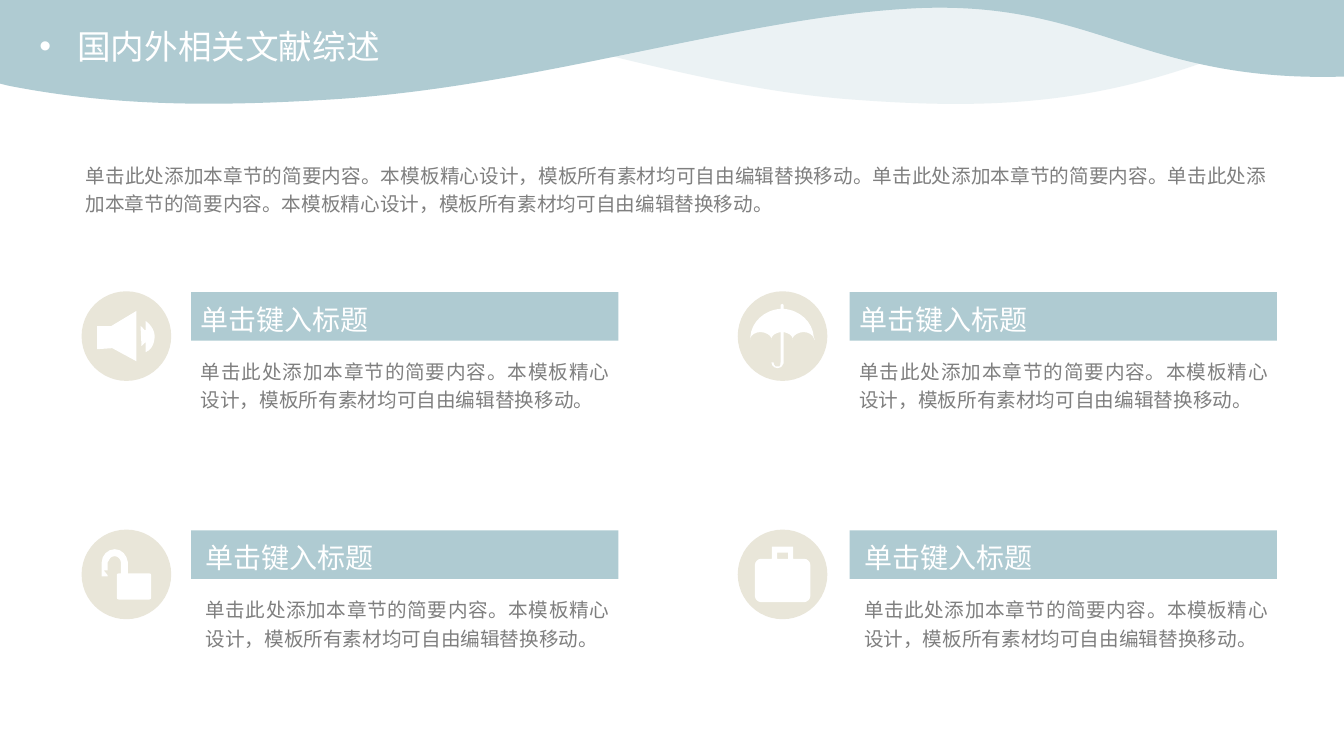
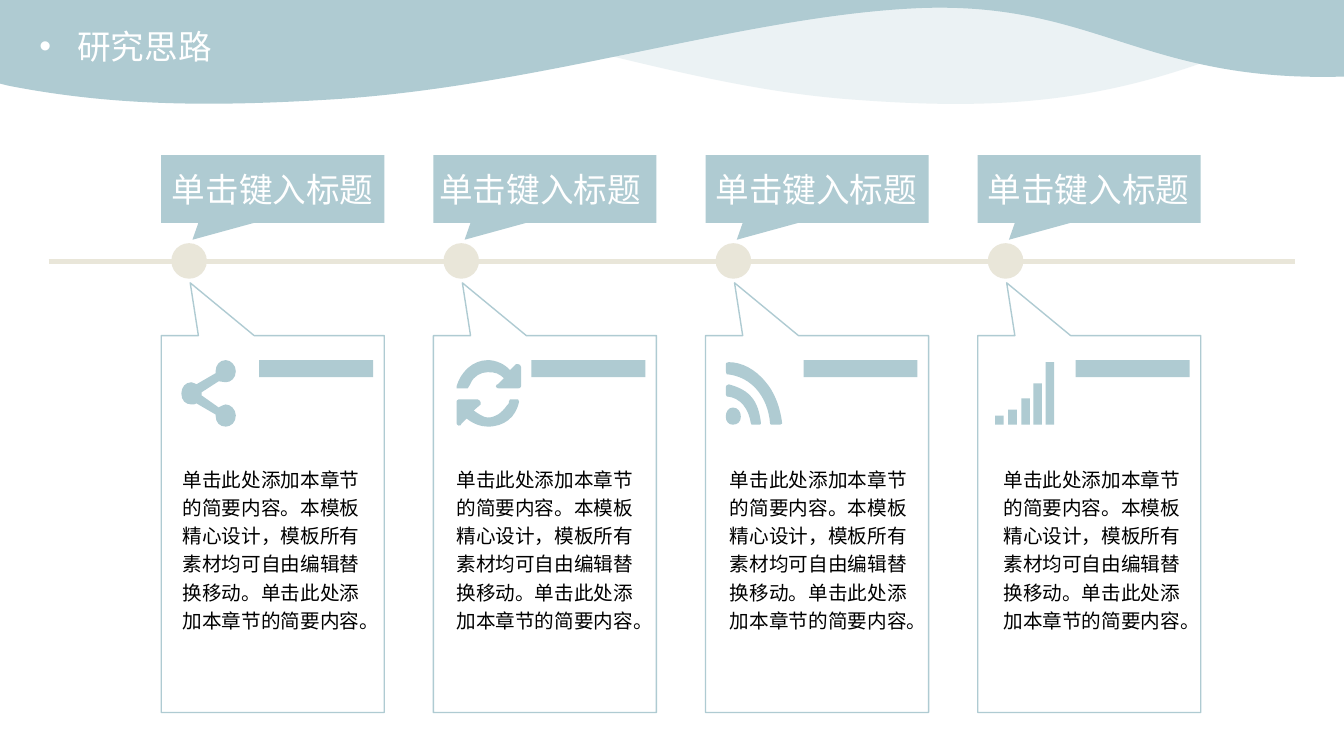
from dataclasses import dataclass

from lxml import etree
from pptx import Presentation
from pptx.dml.color import RGBColor
from pptx.enum.shapes import MSO_CONNECTOR, MSO_SHAPE
from pptx.enum.text import MSO_ANCHOR, PP_ALIGN
from pptx.oxml.ns import qn
from pptx.util import Pt

RECT, OVAL = MSO_SHAPE.RECTANGLE, MSO_SHAPE.OVAL
CALLOUT = MSO_SHAPE.RECTANGULAR_CALLOUT
STRAIGHT = MSO_CONNECTOR.STRAIGHT
LEFT, CENTER, JUSTIFY = PP_ALIGN.LEFT, PP_ALIGN.CENTER, PP_ALIGN.JUSTIFY
MIDDLE = MSO_ANCHOR.MIDDLE


@dataclass(frozen=True)
class Theme:
    font: str = "Noto Sans CJK SC"
    blue: str = "AFCBD2"
    sand: str = "E9E6D9"
    white: str = "FFFFFF"
    gray: str = "7F7F7F"
    black: str = "000000"
    title: int = 24
    heading: int = 20
    body: int = 14
    body_spacing: float = 1.2


T = Theme()
UNIT = 0.72  # points per unit of the outlines below

HEADING = "单击键入标题"
CLICK = "单击此处添加本章节的简要内容。"
DESIGN = "本模板精心设计，模板所有素材均可自由编辑替换移动。"

BACK_WAVE = ("M 1333.4 0 L 0 0 L 0 76 C 169 82 206 2 353 8 C 499 15 673 87 849 99 "
             "C 1025 112 1145 98 1333.4 0 Z")
FRONT_WAVE = ("M 0 0 L 1333.4 0 L 1333.4 76 C 1133 82 1088 2 914 8 "
              "C 740 15 534 87 324 99 C 207 106 110 105 8 85 L 0 83 Z")
SPEAKER = ("M 48 10 C 48 10 56 15 57 24 C 57 24 58 37 48 41 L 48 31 "
           "C 47 32 45 34 44 35 L 43 15 C 43 15 46 17 47 19 L 48 19 Z "
           "M 39 0 L 39 50 L 15 37 L 0 38 L 0 15 L 14 15 Z")
UMBRELLA = ("M 32 0 L 33 1 L 33 5 C 49 6 62 18 63 33 L 64 36 L 63 34 "
            "C 62 31 58 28 53 28 C 48 28 43 31 42 34 L 42 36 L 42 34 "
            "C 41 31 38 29 33 28 L 33 59 C 32 61 31 63 30 63 C 28 64 26 64 24 63 "
            "C 22 62 21 60 21 58 L 23 58 C 23 60 24 61 25 62 C 26 62 27 62 29 62 "
            "C 30 61 30 60 30 58 L 30 28 C 25 29 22 31 21 34 L 21 36 L 21 34 "
            "C 20 31 15 28 10 28 C 5 28 1 31 0 34 L 0 36 L 0 33 "
            "C 1 18 14 6 30 5 L 30 1 Z")
PADLOCK = ("M 13 0 C 20 0 25 6 26 13 L 26 24 L 47 24 C 49 24 49 25 49 26 L 49 48 "
           "C 49 49 49 50 47 50 L 17 50 C 15 50 15 49 15 48 L 15 26 "
           "C 15 25 15 24 17 24 L 19 24 L 19 13 C 19 10 16 7 13 7 C 9 7 7 10 6 13 "
           "L 6 21 L 2 21 L 6 26 L 6 27 L 0 27 L 0 13 C 0 6 6 0 13 0 Z")
CASE = ("M 6 12 L 17 12 L 17 0 L 38 0 L 38 12 L 49 12 C 52 12 55 15 55 18 L 55 49 "
        "C 55 52 52 55 49 55 L 6 55 C 3 55 0 52 0 49 L 0 18 C 0 15 3 12 6 12 Z "
        "M 22 6 L 33 6 L 33 12 L 22 12 Z")
SHARE = ("M 44 44 C 41 44 40 46 37 47 L 20 35 L 20 32 L 37 21 C 40 21 41 22 44 22 "
         "C 49 22 54 18 54 11 C 54 5 49 0 44 0 C 38 0 34 5 34 11 L 34 13 L 15 24 "
         "C 14 24 12 22 10 22 C 4 22 0 27 0 33 C 0 40 4 44 10 44 C 12 44 14 44 15 43 "
         "L 34 54 L 34 55 C 34 62 38 66 44 66 C 49 66 54 62 54 55 C 54 49 49 44 44 44 Z")
REFRESH = ("M 62 41 C 59 57 47 66 31 66 C 24 66 16 63 10 58 L 5 63 C 4 65 4 65 2 65 "
           "C 0 65 0 63 0 61 L 0 42 C 0 41 0 39 2 39 L 21 39 C 22 39 24 41 24 42 "
           "L 24 44 L 17 50 C 21 53 27 57 31 57 C 39 57 45 52 50 45 C 52 44 52 42 52 41 "
           "L 53 39 L 61 39 Z "
           "M 64 26 C 64 28 62 28 61 28 L 42 28 C 41 28 39 28 39 26 C 39 24 41 24 41 24 "
           "L 47 18 C 42 13 38 12 31 12 C 24 12 17 16 14 23 C 13 24 13 26 11 28 L 0 28 "
           "L 0 26 C 4 12 16 0 31 0 C 39 0 48 4 53 10 L 59 4 L 61 4 C 62 4 64 5 64 7 Z")
FEED = ("M 54 62 L 47 62 C 45 62 44 62 44 61 C 42 34 25 14 1 12 C 1 12 0 10 0 8 L 0 2 "
        "C 0 1 1 0 3 0 C 16 0 29 7 39 19 C 48 29 54 44 56 61 Z "
        "M 34 62 L 28 62 C 26 62 25 62 25 61 C 23 47 15 35 1 34 L 0 32 L 0 25 "
        "C 0 24 1 22 3 22 C 10 24 19 27 25 34 C 31 40 34 51 35 61 Z "
        "M 7 62 C 3 62 0 59 0 54 C 0 49 3 45 7 45 C 12 45 15 49 15 54 "
        "C 15 59 12 62 7 62 Z")
SIGNAL = " ".join(f"M {x} {top} L {x + 8.5} {top} L {x + 8.5} 62 L {x} 62 Z"
                  for x, top in ((0, 53), (13, 47), (26, 36), (38, 21), (50, 0)))


# Basic parts
def paint(sp, fill, line=None):
    sp.shadow.inherit = False
    sp.fill.solid()
    sp.fill.fore_color.rgb = RGBColor.from_string(fill)
    if line:
        sp.line.color.rgb = RGBColor.from_string(line)
        sp.line.width = Pt(1)
    else:
        sp.line.fill.background()
    return sp


def shape(s, kind, x, y, w, h, fill, line=None):
    sp = s.shapes.add_shape(kind, Pt(x), Pt(y), Pt(w), Pt(h))
    return paint(sp, fill, line)


def callout(s, x, y, w, h, tail, fill, line=None):
    sp = shape(s, CALLOUT, x, y, w, h, fill, line)
    sp.adjustments[0], sp.adjustments[1] = tail
    return sp


def write(sp, text, size, color, align=LEFT):
    tf = sp.text_frame
    tf.word_wrap = True
    tf.margin_left = tf.margin_right = tf.margin_top = tf.margin_bottom = 0
    p = tf.paragraphs[0]
    p.alignment = align
    p._p.get_or_add_pPr().set("hangingPunct", "1")
    r = p.add_run()
    r.text = text
    r.font.size = Pt(size)
    r.font.color.rgb = RGBColor.from_string(color)
    r.font.name = T.font
    etree.SubElement(r.font._element, qn("a:ea"), typeface=T.font)
    return tf


def label(s, x, y, w, h, text, size, color, align=LEFT):
    tb = s.shapes.add_textbox(Pt(x), Pt(y), Pt(w), Pt(h))
    return write(tb, text, size, color, align)


def body(s, x, y, w, h, text, color, align=LEFT):
    tf = label(s, x, y, w, h, text, T.body, color, align)
    tf.paragraphs[0].line_spacing = T.body_spacing


# Outlines with curves
def loops_of(outline):
    loops = []
    for part in outline.split("M")[1:]:
        n = [float(v) for v in part.split() if v not in "LCZ"]
        loops.append(list(zip(n[::2], n[1::2])))
    return loops


def draw(s, outline, x, y, fill):
    loops = [[(Pt(x + px * UNIT), Pt(y + py * UNIT)) for px, py in loop]
             for loop in loops_of(outline)]
    fb = s.shapes.build_freeform(*loops[0][0], scale=1.0)
    for i, loop in enumerate(loops):
        if i:
            fb.move_to(*loop[0])
        fb.add_line_segments(loop[1:], close=True)
    sp = fb.convert_to_shape()
    # Each C joins three segments into one curve
    nodes = iter(list(next(sp.element.iter(qn("a:path")))))
    for op in (c for c in outline if c in "MLCZ"):
        node = next(nodes)
        if op == "C":
            node.tag
            curve = etree.Element(qn("a:cubicBezTo"))
            node.addprevious(curve)
            for segment in (node, next(nodes), next(nodes)):
                curve.append(segment[0])
                segment.getparent().remove(segment)
    return paint(sp, fill)


def icon(s, outline, cx, cy, fill):
    xs, ys = zip(*(pt for loop in loops_of(outline) for pt in loop))
    draw(s, outline, cx - max(xs) * UNIT / 2, cy - max(ys) * UNIT / 2, fill)


# Shared header: waves and bulleted title
def header(s, title):
    back = draw(s, BACK_WAVE, 0, 0, T.blue)
    clr = next(back.element.iter(qn("a:srgbClr")))
    etree.SubElement(clr, qn("a:alpha"), val="24000")
    draw(s, FRONT_WAVE, 0, 0, T.blue)
    tf = label(s, 28.2, 18.7, 400, 34.8, title, T.title, T.white)
    pPr = tf.paragraphs[0]._p.get_or_add_pPr()
    pPr.set("marL", str(Pt(27)))
    pPr.set("indent", str(-Pt(27)))
    etree.SubElement(pPr, qn("a:buFont"), typeface="Arial")
    etree.SubElement(pPr, qn("a:buChar"), char="•")


# Icon disc with a heading bar, flush right in the box, and text below it
def card(s, x, y, w, outline, indent):
    disc, bar_w, bar_h = 64, 305.3, 34.8
    shape(s, OVAL, x, y, disc, disc, T.sand)
    icon(s, outline, x + disc / 2, y + disc / 2, T.white)
    bar_x, bar_y = x + w - bar_w, y + 0.5
    shape(s, RECT, bar_x, bar_y, bar_w, bar_h, T.blue)
    text_x, text_w = bar_x + indent, bar_w - indent - 6.5
    label(s, text_x, bar_y + 7.6, text_w, 29, HEADING, T.heading, T.white)
    body(s, text_x, bar_y + 45.3, text_w, 41, CLICK + DESIGN, T.gray, JUSTIFY)


def literature_slide(s):
    header(s, "国内外相关文献综述")
    body(s, 61.2, 113.6, 844.2, 41, CLICK + DESIGN + CLICK + CLICK + DESIGN,
         T.gray, JUSTIFY)
    rows = ((208.1, 6.9, (SPEAKER, UMBRELLA)), (378.3, 10.3, (PADLOCK, CASE)))
    columns = ((58.3, 383.5), (527, 385.2))
    for y, indent, outlines in rows:
        for (x, w), outline in zip(columns, outlines):
            card(s, x, y, w, outline, indent)


# One step: heading callout, dot on the line, framed text
def step(s, x, y, w, outline, icon_cx, text_dx, heading_shift):
    shape(s, OVAL, x + 7.2, y + 62.8, 25.4, 25.4, T.sand)
    top = callout(s, x, y, w, 48.3, (-0.36, 0.75), T.blue)
    tf = write(top, HEADING, T.title, T.white, CENTER)
    tf.vertical_anchor = MIDDLE
    tf.margin_right = Pt(heading_shift)
    callout(s, x, y + 128.8, w, 269.2, (-0.37, -0.64), T.white, T.blue)
    icon(s, outline, x + icon_cx, y + 170.1, T.blue)
    shape(s, RECT, x + 70, y + 146.3, 81.4, 12.2, T.blue)
    body(s, x + text_dx, y + 219.8, 131.5, 122, CLICK + DESIGN + CLICK, T.black)


def approach_slide(s):
    header(s, "研究思路")
    # Time line
    ln = s.shapes.add_connector(STRAIGHT, Pt(34.8), Pt(186.6), Pt(925), Pt(186.6))
    ln.line.color.rgb = RGBColor.from_string(T.sand)
    ln.line.width = Pt(3.75)
    etree.SubElement(ln.element.spPr, qn("a:effectLst"))
    # Steps: outline, icon centre, text offset, room to the right of the heading
    steps = ((SHARE, 33.8, 15.3, 0), (REFRESH, 39.6, 16.4, 7),
             (FEED, 34.6, 17.4, 1), (SIGNAL, 33.5, 18.3, 1))
    for i, details in enumerate(steps):
        step(s, 115.2 + 194.4 * i, 110.9, 159.3, *details)


prs = Presentation()
prs.slide_width, prs.slide_height = Pt(960), Pt(540)
for build in (literature_slide, approach_slide):
    build(prs.slides.add_slide(prs.slide_layouts[6]))
prs.save("out.pptx")
